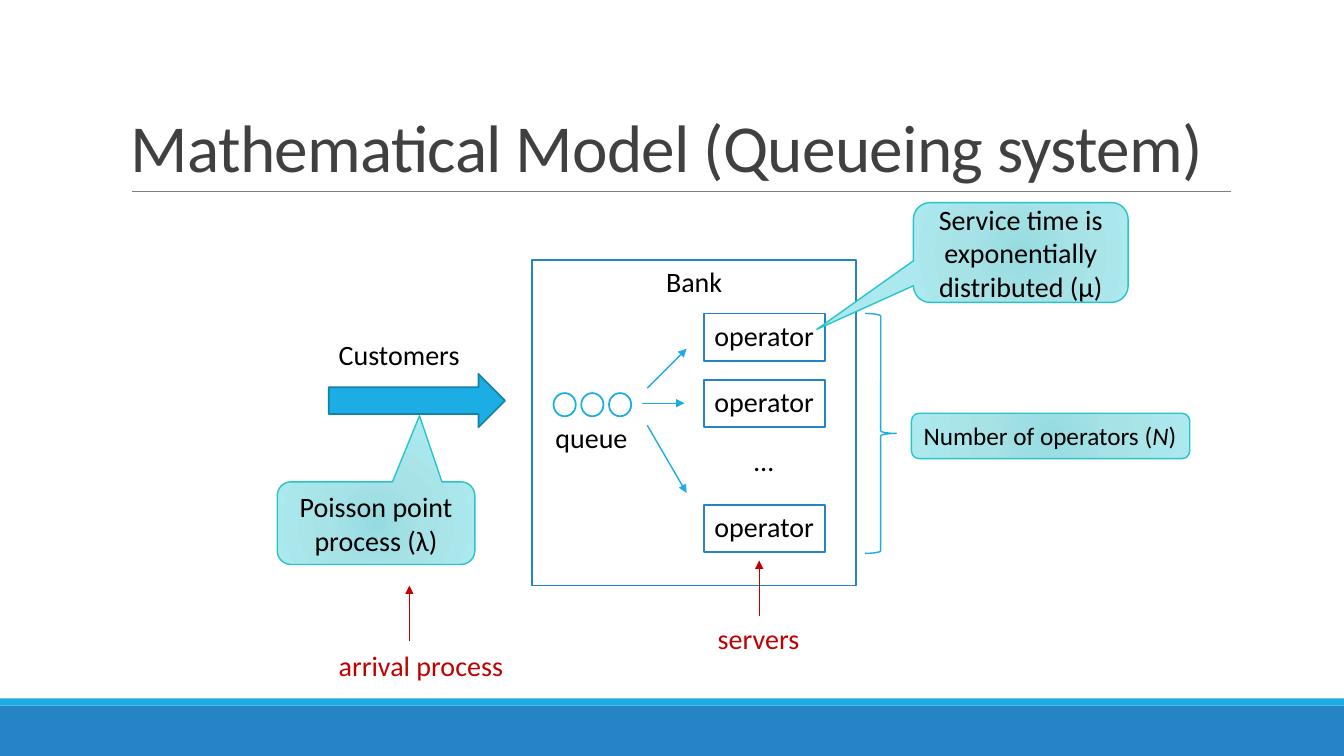
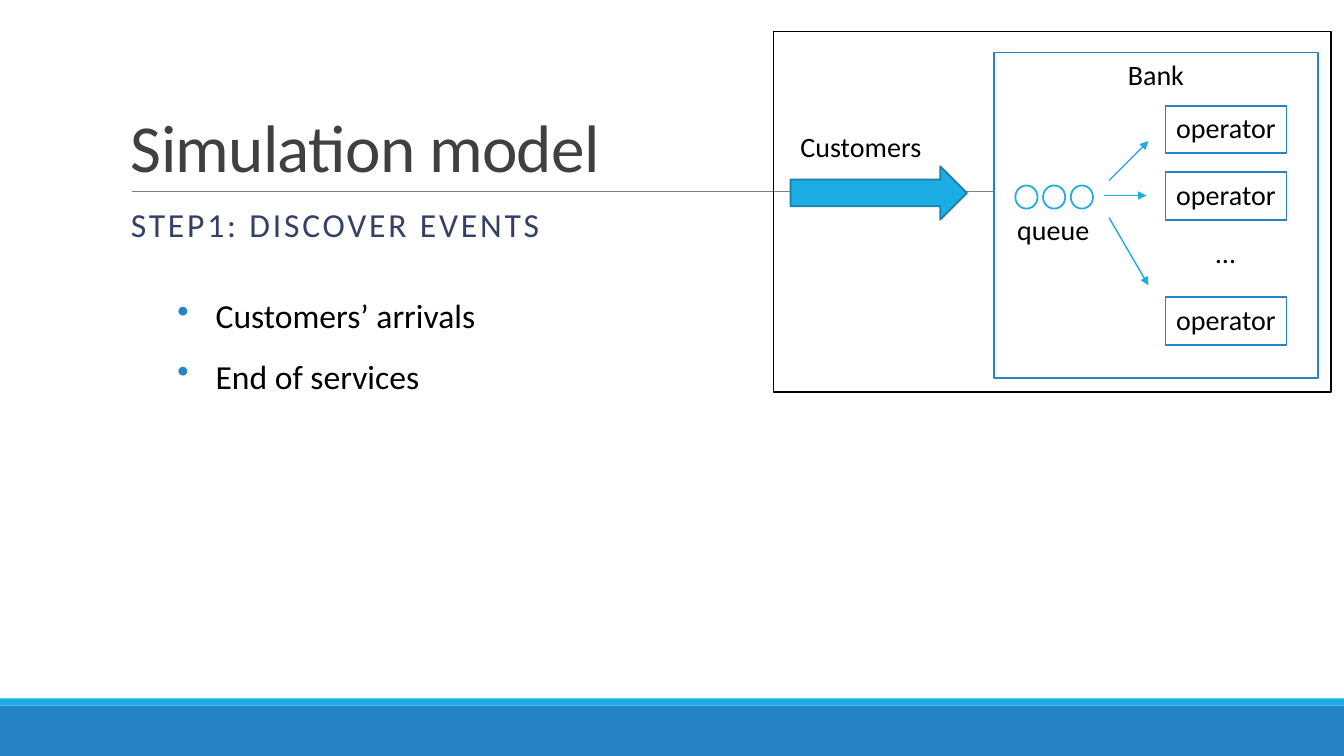
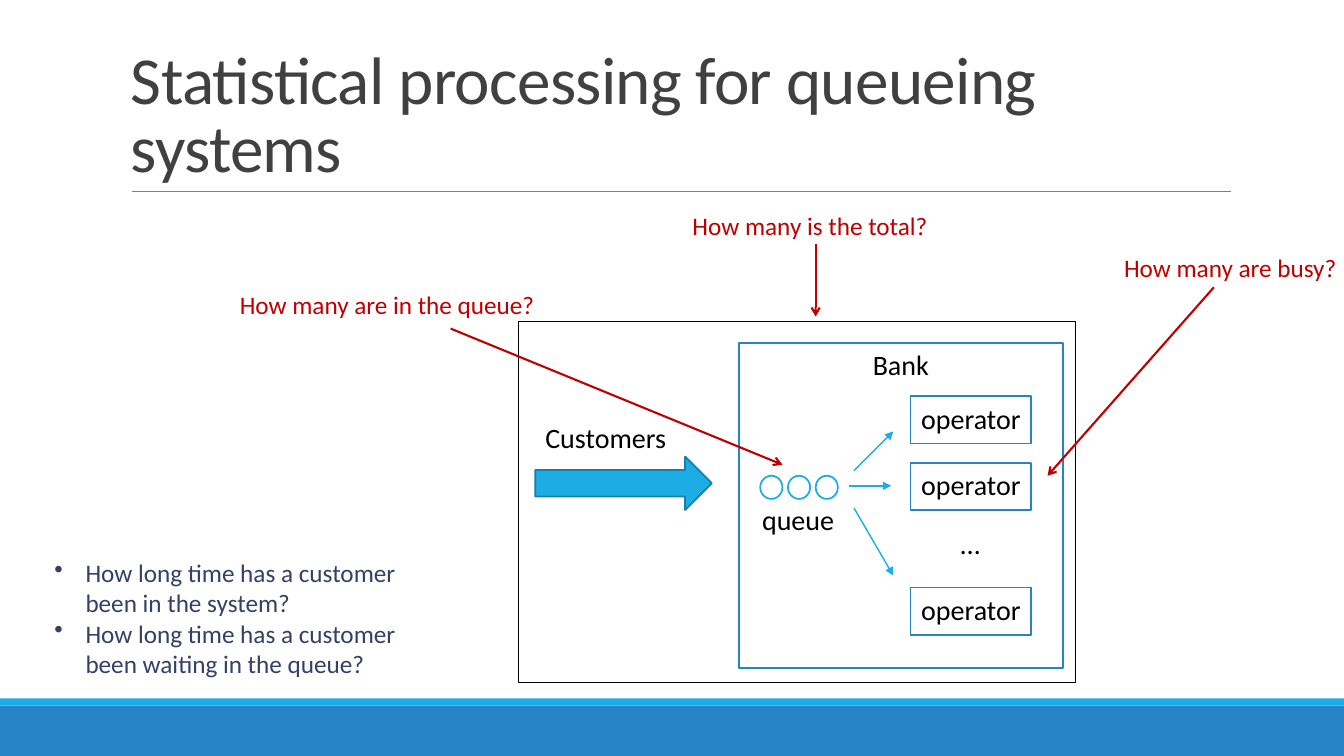
from dataclasses import dataclass

from pptx import Presentation
from pptx.dml.color import RGBColor
from pptx.enum.shapes import MSO_CONNECTOR, MSO_SHAPE as Preset
from pptx.enum.text import MSO_ANCHOR as Anchor, MSO_AUTO_SIZE as AutoSize, PP_ALIGN as Align
from pptx.oxml import parse_xml
from pptx.oxml.ns import nsdecls, qn
from pptx.oxml.xmlchemy import OxmlElement
from pptx.util import Inches, Pt

COLUMNS, ROWS = 133.33, 75


@dataclass(frozen=True)
class Theme:
    """Colours, font and type sizes of the deck."""
    font: str = "Calibri"
    title_size: int = 48
    lead_size: int = 24
    label_size: int = 20
    note_size: int = 18
    white: str = "FFFFFF"
    black: str = "000000"
    title: str = "404040"
    navy: str = "344068"
    blue: str = "2683C6"
    sky: str = "1CADE4"
    deep_sky: str = "1580A9"
    teal: str = "28C4CC"
    red: str = "C00000"
    rule: str = "808080"
    glow: tuple = ((0, "95DBE0"), (45, "A7E2E7"), (100, "ACE9EE"))


class Deck:
    """Draws elements on the current slide; lengths are grid columns and rows."""

    def __init__(self, theme):
        """Open an empty presentation with a square-celled grid."""
        self.theme = theme
        self.presentation = Presentation()
        self.presentation.slide_width = Inches(13.33)
        self.presentation.slide_height = Inches(7.5)
        self.cell = self.presentation.slide_height / ROWS
        self.slide = self.shapes = None

    def grid(self, *lengths):
        """Turn grid units into slide lengths."""
        return [round(length * self.cell) for length in lengths]

    def start(self, title, width=110):
        """Add a slide with the shared bands, rule and title."""
        theme = self.theme
        self.slide = self.presentation.slides.add_slide(self.presentation.slide_layouts[6])
        self.shapes = self.slide.shapes
        self.box(0, 70, COLUMNS, 5, fill=theme.blue)
        self.box(0, 69.3, COLUMNS, 0.7, fill=theme.sky)
        self.line((13.1, 19), (122.1, 19), theme.rule, 0.5, head=None)
        self.text([title], 12, 3.1, width, 15.9, size=theme.title_size, color=theme.title,
                  anchor=Anchor.BOTTOM, line_spacing=0.85, tracking=-50)

    def set_text(self, shape, paragraphs, size, color, align=Align.LEFT, anchor=Anchor.TOP,
                 wrap=True, grow=False, line_spacing=None, tracking=None, bullet=None, hang=0):
        """Fill a shape with paragraphs; each is a string or a list of (text, italic) runs."""
        frame = shape.text_frame
        frame.word_wrap = wrap
        frame.vertical_anchor = anchor
        frame.auto_size = AutoSize.SHAPE_TO_FIT_TEXT if grow else AutoSize.NONE
        for index, content in enumerate(paragraphs):
            paragraph = frame.add_paragraph() if index else frame.paragraphs[0]
            paragraph.alignment = align
            if line_spacing:
                paragraph.line_spacing = line_spacing
            if bullet:
                self.add_bullet(paragraph, bullet, hang)
            runs = [(content, False)] if isinstance(content, str) else content
            for words, italic in runs:
                run = paragraph.add_run()
                run.text = words
                run.font.name, run.font.size, run.font.italic = self.theme.font, Pt(size), italic
                run.font.color.rgb = RGBColor.from_string(color)
                if tracking:
                    run._r.get_or_add_rPr().set("spc", str(tracking))

    def add_bullet(self, paragraph, color, hang):
        """Give a paragraph a coloured round bullet and a hanging indent."""
        properties = paragraph._p.get_or_add_pPr()
        indent, = self.grid(hang)
        properties.set("marL", str(indent))
        properties.set("indent", str(-indent))
        properties.append(parse_xml(
            f'<a:buClr {nsdecls("a")}><a:srgbClr val="{color}"/></a:buClr>'))
        properties.append(parse_xml(f'<a:buChar {nsdecls("a")} char="•"/>'))

    def text(self, paragraphs, left, top, width, height, **style):
        """Add a text box."""
        shape = self.shapes.add_textbox(*self.grid(left, top, width, height))
        self.set_text(shape, paragraphs, **style)

    def label(self, words, left, top, width, height=4.4, size=None, color=None, wrap=False):
        """Add a one-line label that fits its text."""
        self.text([words], left, top, width, height, size=size or self.theme.label_size,
                  color=color or self.theme.black, wrap=wrap, grow=True)

    def box(self, left, top, width, height, preset=Preset.RECTANGLE, fill=None, line=None,
            weight=1.25, words=None):
        """Add a preset shape, with a centred label if words are given."""
        shape = self.shapes.add_shape(preset, *self.grid(left, top, width, height))
        shape.shadow.inherit = False
        if fill:
            shape.fill.solid()
            shape.fill.fore_color.rgb = RGBColor.from_string(fill)
        else:
            shape.fill.background()
        if line:
            shape.line.color.rgb = RGBColor.from_string(line)
            shape.line.width = Pt(weight)
        else:
            shape.line.fill.background()
        if words:
            self.set_text(shape, [words], self.theme.label_size, self.theme.black, Align.CENTER)
        return shape

    def callout(self, content, left, top, width, height, pointer=None):
        """Add a glowing rounded box; a pointer makes it a speech callout."""
        theme = self.theme
        preset = Preset.ROUNDED_RECTANGULAR_CALLOUT if pointer else Preset.ROUNDED_RECTANGLE
        shape = self.box(left, top, width, height, preset, theme.white, theme.teal, 1)
        stops = "".join(f'<a:gs pos="{share * 1000}"><a:srgbClr val="{color}"/></a:gs>'
                        for share, color in theme.glow)
        edges = " ".join(f'{side}="100000"' for side in "ltrb")
        properties = shape.element.spPr
        properties.replace(properties.find(qn("a:solidFill")), parse_xml(
            f'<a:gradFill {nsdecls("a")}><a:gsLst>{stops}</a:gsLst>'
            f'<a:path path="circle"><a:fillToRect {edges}/></a:path></a:gradFill>'))
        if pointer:
            shape.adjustments[0], shape.adjustments[1] = pointer
            self.set_text(shape, [content], theme.label_size, theme.black,
                          Align.CENTER, Anchor.MIDDLE)
        else:
            self.set_text(shape, [content], theme.note_size, theme.black, wrap=False, grow=True)

    def line(self, start, end, color, weight=1.0, head="triangle"):
        """Add a straight line, with an arrowhead at its end unless head is None."""
        connector = self.shapes.add_connector(MSO_CONNECTOR.STRAIGHT, *self.grid(*start, *end))
        connector.line.color.rgb = RGBColor.from_string(color)
        connector.line.width = Pt(weight)
        properties = connector.element.spPr
        if head:
            tail = OxmlElement("a:tailEnd")
            tail.set("type", head)
            properties.find(qn("a:ln")).append(tail)
        properties.append(OxmlElement("a:effectLst"))

    def bank(self, left, top, framed=True):
        """Add the grouped queueing diagram; left and top place the bank's corner."""
        theme = self.theme
        self.shapes = self.slide.shapes.add_group_shape().shapes
        self.box(left, top, 32.1, 32.3, fill=theme.white, line=theme.blue, words="Bank")
        self.box(left - 20.2, top + 11.3, 17.5, 5.3, Preset.RIGHT_ARROW, theme.sky,
                 theme.deep_sky)
        self.label("Customers", left - 20.2, top + 7.2, 14.1)
        for row in (5.3, 11.9, 24.3):
            self.box(left + 17, top + row, 12, 4.7, fill=theme.white, line=theme.blue,
                     words="operator")
        self.label("…", left + 21, top + 17.7, 3.9)
        for place in range(3):
            self.box(left + 2.1 + 2.75 * place, top + 13.2, 2.2, 2.3, Preset.OVAL,
                     theme.white, theme.sky)
        self.label("queue", left + 1.3, top + 15.4, 9.2)
        for x, y, end_x, end_y in ((11.4, 12.7, 15.3, 8.8), (10.9, 14.2, 15.1, 14.2),
                                   (11.4, 16.4, 15.3, 23.1)):
            self.line((left + x, top + y), (left + end_x, top + end_y), theme.sky)
        if framed:
            self.box(left - 21.9, top - 2.1, 55.3, 35.8, line=theme.black, weight=1)
        self.shapes = self.slide.shapes


def mathematical_model(deck):
    """Slide 1: the queueing system with its parameters."""
    theme = deck.theme
    deck.start("Mathematical Model (Queueing system)")
    deck.bank(52.8, 25.8, framed=False)
    deck.callout("Poisson point process (λ)", 27.5, 47.8, 19.6, 8.2, (0.22, -1.3))
    deck.box(85.8, 31.1, 3.1, 23.8, Preset.RIGHT_BRACE, line=theme.sky, weight=1)
    deck.callout([("Number of operators (", False), ("N", True), (")", False)],
                 90.4, 41, 27.6, 4.5)
    deck.callout("Service time is exponentially distributed (μ)", 90.6, 20.1, 21.3, 9.9,
                 (-0.95, 0.77))
    deck.line((40.6, 63.6), (40.6, 58.1), theme.red)
    deck.label("arrival process", 32.6, 63.8, 18.5, color=theme.red)
    deck.line((75.3, 61.1), (75.3, 55.6), theme.red)
    deck.label("servers", 70.2, 61.2, 10.2, color=theme.red)


def simulation_model(deck):
    """Slide 2: the events of the simulation."""
    theme = deck.theme
    deck.start("Simulation model")
    deck.text(["STEP1: DISCOVER EVENTS"], 12, 20.2, 80.3, 5.4, size=theme.lead_size,
              color=theme.navy, line_spacing=0.9, tracking=200)
    deck.bank(98.6, 5.2)
    deck.text(["Customers’ arrivals", "End of services"], 16.6, 26.8, 31.8, 12.5,
              size=theme.lead_size, color=theme.black, wrap=False, grow=True,
              line_spacing=1.5, bullet=theme.blue, hang=3.8)


def statistical_processing(deck):
    """Slide 3: the questions asked of the system."""
    theme = deck.theme
    deck.start("Statistical processing for queueing systems", 113.1)
    deck.bank(73.3, 34)
    questions = (
        ("How many are in the queue?", 22.8, 28.2, 31.6, False, (44.7, 32.6), (77.6, 46.1)),
        ("How many are busy?", 110.5, 24.5, 26.3, True, (120.4, 28.5), (103.9, 47.2)),
        ("How many is the total?", 67.7, 20.4, 26.3, True, (80.9, 24.2), (80.9, 31.4)),
    )
    for words, left, top, width, wrap, start, end in questions:
        deck.line(start, end, theme.red, 1.5, "arrow")
        deck.label(words, left, top, width, 4, theme.note_size, theme.red, wrap)
    deck.text(["How long time has a customer been in the system?",
               "How long time has a customer been waiting in the queue?"],
              4.4, 54.8, 41.3, 13.1, size=theme.note_size, color=theme.navy, grow=True,
              bullet=theme.navy, hang=3.1)


def main():
    """Build and save the deck."""
    deck = Deck(Theme())
    for build in (mathematical_model, simulation_model, statistical_processing):
        build(deck)
    deck.presentation.save("out.pptx")


main()
